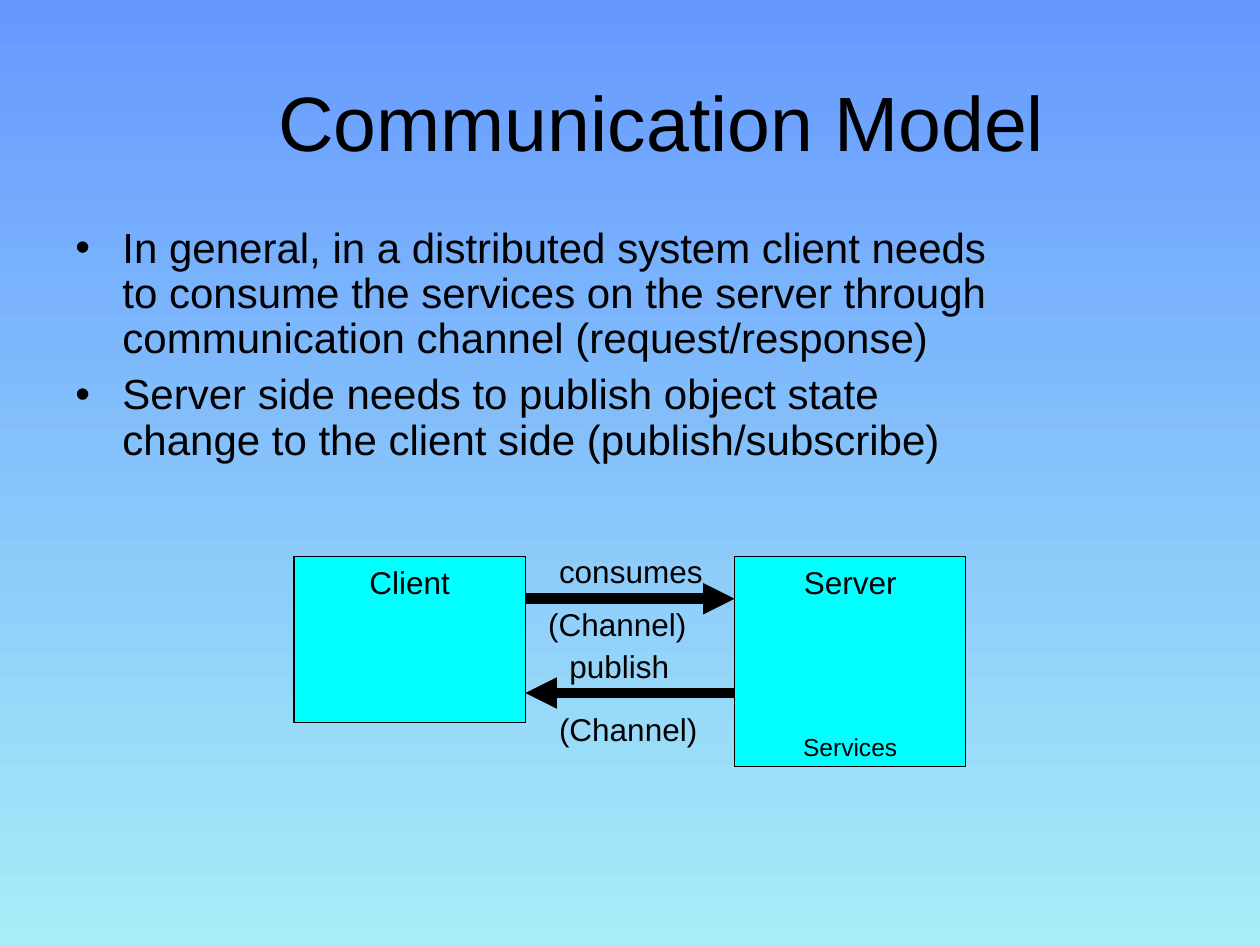
from lxml import etree
from pptx import Presentation
from pptx.dml.color import RGBColor
from pptx.enum import shapes, text
from pptx.oxml import ns
from pptx.util import Cm, Pt

BLACK = RGBColor(0x00, 0x00, 0x00)
CYAN = RGBColor(0x00, 0xFF, 0xFF)
SKY = RGBColor(0x66, 0x99, 0xFF)
PALE = RGBColor(0xA7, 0xED, 0xF7)


def write(frame, lines, size=18, align=text.PP_ALIGN.LEFT, wrap=True,
          anchor=text.MSO_ANCHOR.TOP, before=0, spacing=None, bullet=None,
          more=False):
    """Fill the frame with lines, or add them below its text if more is set."""
    frame.word_wrap = wrap
    frame.vertical_anchor = anchor
    for i, line in enumerate(lines):
        par = frame.add_paragraph() if i or more else frame.paragraphs[0]
        par.alignment = align
        par.space_before = Pt(before)
        if spacing:
            par.line_spacing = spacing
        if bullet:
            props = par._p.get_or_add_pPr()
            props.set("marL", str(Cm(0.95)))
            props.set("indent", str(Cm(-0.95)))
            etree.SubElement(props, ns.qn("a:buFont")).set("typeface", "Arial")
            etree.SubElement(props, ns.qn("a:buChar")).set("char", bullet)
        run = par.add_run()
        run.text = line
        run.font.name = "Arial"
        run.font.size = Pt(size)
        run.font.color.rgb = BLACK


def paint(slide):
    fill = slide.background.fill
    fill.gradient()
    fill.gradient_angle = 270
    for stop, color, place in zip(fill.gradient_stops, (SKY, PALE), (0, 1)):
        stop.color.rgb = color
        stop.position = place


def head(slide, left, top, width, height):
    title = slide.shapes.title
    title.left, title.top = Cm(left), Cm(top)
    title.width, title.height = Cm(width), Cm(height)
    write(title.text_frame, ["Communication Model"], size=44,
          align=text.PP_ALIGN.CENTER, anchor=text.MSO_ANCHOR.MIDDLE)


def body(slide, left, top, width, height):
    box = slide.shapes.add_textbox(Cm(left), Cm(top), Cm(width), Cm(height))
    write(box.text_frame, [
        "In general, in a distributed system client needs to consume the "
        "services on the server through communication channel "
        "(request/response)",
        "Server side needs to publish object state change to the client "
        "side (publish/subscribe)",
    ], size=24, before=6, spacing=0.9, bullet="•")


def node(slide, left, top, width, height, name):
    box = slide.shapes.add_shape(shapes.MSO_SHAPE.RECTANGLE, Cm(left),
                                 Cm(top), Cm(width), Cm(height))
    box.shadow.inherit = False
    box.fill.solid()
    box.fill.fore_color.rgb = CYAN
    box.line.color.rgb = BLACK
    box.line.width = Pt(0.75)
    write(box.text_frame, [name], align=text.PP_ALIGN.CENTER)
    return box


def label(slide, left, top, words):
    box = slide.shapes.add_textbox(Cm(left), Cm(top), Cm(3.5), Cm(1.02))
    write(box.text_frame, [words])


def arrow(slide, start, end, y):
    line = slide.shapes.add_connector(shapes.MSO_CONNECTOR.STRAIGHT,
                                      Cm(start), Cm(y), Cm(end), Cm(y))
    line.line.color.rgb = BLACK
    line.line.width = Pt(6)
    tip = etree.SubElement(line.line._get_or_add_ln(), ns.qn("a:tailEnd"))
    tip.set("type", "triangle")
    etree.SubElement(line._element.spPr, ns.qn("a:effectLst"))


def model(slide, left, top, width, height):
    """Client and server joined by the two channels."""
    side = 4.66
    near, far = left + side, left + width - side
    server = node(slide, far, top, side, height, "Server")
    write(server.text_frame, ["Services"], size=14, before=75,
          align=text.PP_ALIGN.CENTER, more=True)
    node(slide, left, top, side, 3.35, "Client")

    arrow(slide, near, far, top + 0.85)
    arrow(slide, far, near, top + 2.75)
    for dx, dy, words in (
        (0.43, -0.22, "consumes"),
        (0.21, 0.85, "(Channel)"),
        (0.64, 1.69, "publish"),
        (0.43, 2.96, "(Channel)"),
    ):
        label(slide, near + dx, top + dy, words)


def main():
    deck = Presentation()
    deck.slide_width, deck.slide_height = Cm(25.4), Cm(19.05)
    slide = deck.slides.add_slide(deck.slide_layouts[5])
    paint(slide)
    head(slide, 3.39, 0.85, 19.9, 3.18)
    body(slide, 1.27, 4.45, 19.69, 6.56)
    model(slide, 5.93, 11.22, 13.54, 4.23)
    deck.save("out.pptx")


if __name__ == "__main__":
    main()
